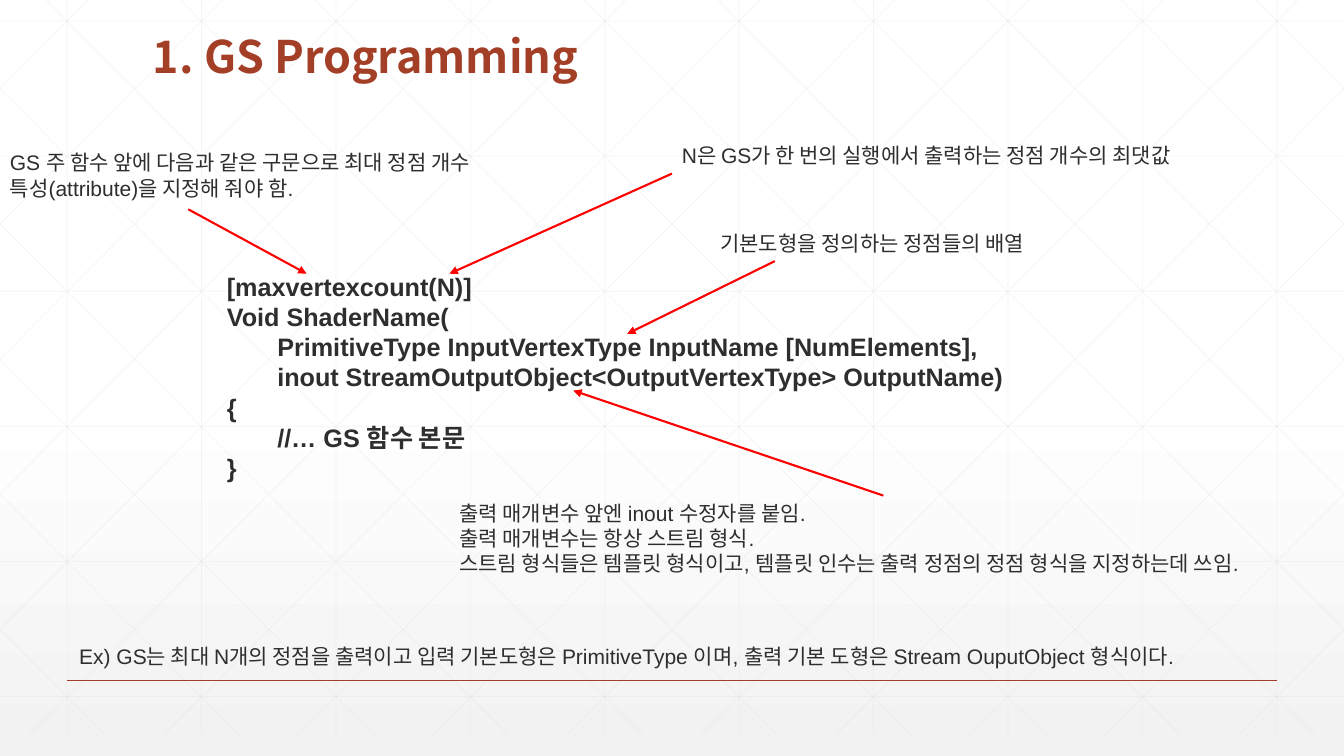
from dataclasses import dataclass
from typing import Optional

from lxml.etree import SubElement as Sub
from pptx import Presentation
from pptx.dml.color import RGBColor as Rgb
from pptx.enum.shapes import MSO_CONNECTOR as Conn
from pptx.enum.text import MSO_ANCHOR as Anchor, MSO_AUTO_SIZE as Auto, PP_ALIGN as Align
from pptx.oxml.ns import qn
from pptx.util import Pt


@dataclass(frozen=True)
class Theme:
    white: str = "FFFFFF"
    base: str = "F2F2F2"
    grid: str = "D9D9D9"
    rust: str = "A43F27"
    red: str = "FF0000"
    ink: str = "2D2E2D"
    latin: str = "Arial"
    asian: str = "Noto Sans CJK KR"
    head: float = 32
    code: float = 18
    note: float = 15


@dataclass(frozen=True)
class Line:
    x1: float
    y1: float
    x2: float
    y2: float
    color: str
    width: float
    alpha: Optional[int] = None
    arrow: bool = False


@dataclass(frozen=True)
class Note:
    x: float
    y: float
    w: float
    h: float
    rows: tuple
    size: float
    bold: bool = False
    arrow: Optional[Line] = None
    joined: bool = False


THEME = Theme()
WIDTH, HEIGHT = 960, 540
TOP, BOTTOM = -15, 525
STEP, RUN = 96, 537


def add_line(slide, line: Line):
    link = slide.shapes.add_connector(
        Conn.STRAIGHT, Pt(line.x1), Pt(line.y1), Pt(line.x2), Pt(line.y2))
    link.line.width = Pt(line.width)
    link.line.color.rgb = Rgb.from_string(line.color)
    props = link._element.spPr
    stroke = props.find(qn("a:ln"))
    if line.alpha:
        tint = stroke.find(".//" + qn("a:srgbClr"))
        Sub(tint, qn("a:alpha"), val=str(line.alpha * 1000))
    if line.arrow:
        Sub(stroke, qn("a:tailEnd"), type="triangle")
    Sub(props, qn("a:effectLst"))
    return link


def set_font(para, face: str, size: float, color: str, bold: bool) -> None:
    font = para.font
    font.name, font.size, font.bold = face, Pt(size), bold
    font.color.rgb = Rgb.from_string(color)
    Sub(font._element, qn("a:ea"), typeface=THEME.asian)


def add_note(slide, note: Note) -> None:
    box = slide.shapes.add_textbox(Pt(note.x), Pt(note.y), Pt(note.w), Pt(note.h))
    frame = box.text_frame
    frame.word_wrap = True
    frame.auto_size = Auto.SHAPE_TO_FIT_TEXT
    frame.text = "\n".join(note.rows)
    for para in frame.paragraphs:
        set_font(para, THEME.latin, note.size, THEME.ink, note.bold)
    if note.arrow:
        link = add_line(slide, note.arrow)
        if note.joined:
            link.begin_connect(box, 0)


def add_grid(slide) -> None:
    def draw(x1: float, y1: float, x2: float, y2: float) -> None:
        add_line(slide, Line(x1, y1, x2, y2, THEME.grid, 0.5, alpha=25))

    for i in range(10):
        draw(48 + i * STEP, TOP, 48 + i * STEP, BOTTOM)
    for i in range(6):
        draw(0, 15 + i * 96.5, WIDTH, 15 + i * 96.5)
    # Diagonals, cut at the slide edges, each with its mirror
    slope = (BOTTOM - TOP) / RUN
    for i in range(-5, 10):
        start = 18 + i * STEP
        x1, x2 = max(0, start), min(WIDTH, start + RUN)
        y1, y2 = (TOP + (x - start) * slope for x in (x1, x2))
        draw(x1, y1, x2, y2)
        draw(WIDTH - x1, y1, WIDTH - x2, y2)


def add_title(slide, text: str) -> None:
    title = slide.shapes.title
    title.left, title.top, title.width, title.height = Pt(102), Pt(15), Pt(756), Pt(48)
    frame = title.text_frame
    frame.text = text
    frame.auto_size = Auto.NONE
    frame.vertical_anchor = Anchor.BOTTOM
    para = frame.paragraphs[0]
    para.alignment, para.line_spacing = Align.LEFT, 0.9
    set_font(para, THEME.asian, THEME.head, THEME.rust, True)
    # Bring the title in front of the grid
    title._element.getparent().append(title._element)


def arrow(x1: float, y1: float, x2: float, y2: float) -> Line:
    return Line(x1, y1, x2, y2, THEME.red, 1.5, arrow=True)


NOTES = (
    Note(155, 190, 636.5, 160, (
        "[maxvertexcount(N)]",
        "Void ShaderName(",
        "\tPrimitiveType InputVertexType InputName [NumElements],",
        "\tinout StreamOutputObject<OutputVertexType> OutputName)",
        "{",
        "\t//… GS 함수 본문",
        "}"), THEME.code, bold=True),
    Note(0, 103.5, 366, 44, (
        "GS 주 함수 앞에 다음과 같은 구문으로 최대 정점 개수 특성(attribute)을 지정해 줘야 함.",),
        THEME.note, arrow=arrow(134.5, 149.5, 219, 195.5)),
    Note(480, 98.5, 399, 25.5, (
        "N은 GS가 한 번의 실행에서 출력하는 정점 개수의 최댓값",),
        THEME.note, arrow=arrow(480, 124, 321, 195.5)),
    Note(507.5, 161, 399, 25.5, (
        "기본도형을 정의하는 정점들의 배열",),
        THEME.note, arrow=arrow(553.5, 186.5, 448, 238.5)),
    Note(321, 354, 620, 62, (
        "출력 매개변수 앞엔 inout 수정자를 붙임.",
        "출력 매개변수는 항상 스트림 형식.",
        "스트림 형식들은 템플릿 형식이고, 템플릿 인수는 출력 정점의 정점 형식을 지정하는데 쓰임."),
        THEME.note, arrow=arrow(631, 354, 409.5, 279), joined=True),
    Note(49.5, 456, 847.5, 25.5, (
        "Ex) GS는 최대 N개의 정점을 출력이고 입력 기본도형은 PrimitiveType 이며, "
        "출력 기본 도형은 Stream OuputObject 형식이다.",), THEME.note),
)


def main() -> None:
    deck = Presentation()
    deck.slide_width, deck.slide_height = Pt(WIDTH), Pt(HEIGHT)
    slide = deck.slides.add_slide(deck.slide_layouts[5])

    # Background
    fill = slide.background.fill
    fill.gradient()
    fill.gradient_angle = 270
    for stop, place, color in zip(
            fill.gradient_stops, (0.53, 1), (THEME.white, THEME.base)):
        stop.position = place
        stop.color.rgb = Rgb.from_string(color)
    add_grid(slide)
    add_line(slide, Line(48, 486, 912, 486, THEME.rust, 1))

    # Title, code and notes
    add_title(slide, "1. GS Programming")
    for note in NOTES:
        add_note(slide, note)
    deck.save("out.pptx")


if __name__ == "__main__":
    main()
